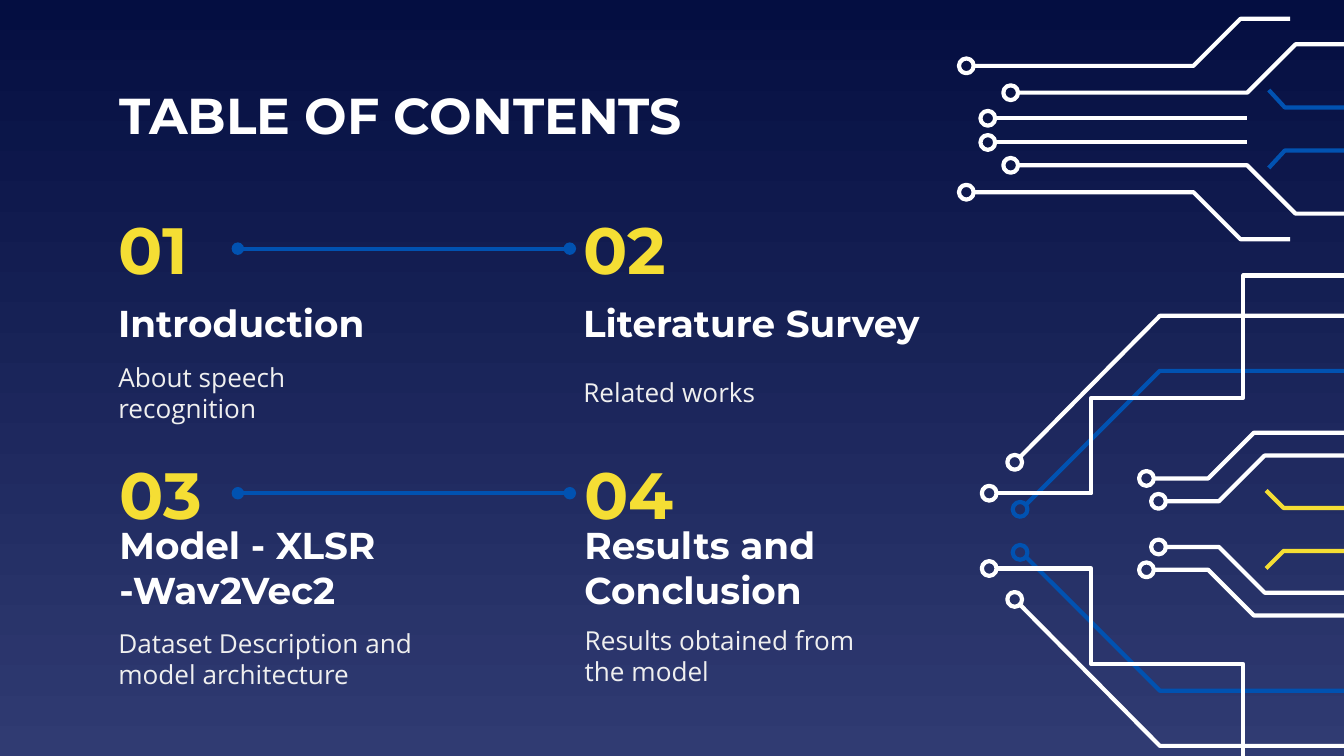
"""Build a table of contents slide with mirrored circuit traces."""
import dataclasses

import lxml.etree
import pptx
import pptx.dml.color
import pptx.enum.shapes
import pptx.enum.text
import pptx.oxml.ns
import pptx.util

Inches = pptx.util.Inches
Point = tuple[float, float]


@dataclasses.dataclass(frozen=True)
class TextStyle:
    size: float
    font: str
    color: str
    bold: bool


@dataclasses.dataclass(frozen=True)
class Theme:
    white: str = "FFFFFF"
    blue: str = "0152B1"
    yellow: str = "F5DE34"
    night: str = "040E41"
    dusk: str = "303B72"
    line_width: float = 2.25
    node_size: float = 0.11
    title: TextStyle = TextStyle(27, "Montserrat", "FFFFFF", True)
    number: TextStyle = TextStyle(35, "Montserrat", "F5DE34", True)
    heading: TextStyle = TextStyle(20, "Montserrat", "FFFFFF", True)
    description: TextStyle = TextStyle(14, "Open Sans", "EFEFEF", False)


@dataclasses.dataclass(frozen=True)
class Section:
    number: str
    heading: str
    description: str
    left: float
    top: float
    heading_width: float
    description_at: Point


@dataclasses.dataclass(frozen=True)
class Trace:
    color: str
    points: tuple[Point, ...]
    node: Point | None = None


@dataclasses.dataclass(frozen=True)
class Circuit:
    axis: float
    traces: tuple[Trace, ...]


THEME = Theme()
SECTIONS = (
    Section("01", "Introduction", "About speech recognition", 0.78, 1.56, 2.41, (0.78, 2.63)),
    Section("02", "Literature Survey", "Related works", 4.24, 1.56, 2.78, (4.24, 2.63)),
    Section("03", "Model - XLSR -Wav2Vec2", "Dataset Description and model architecture",
            0.79, 3.38, 2.5, (0.78, 4.61)),
    Section("04", "Results and Conclusion", "Results obtained from the model",
            4.25, 3.38, 3.06, (4.25, 4.59)),
)
CIRCUITS = (
    Circuit(3.9, (
        Trace(THEME.white, ((8.66, 3.73), (9.07, 3.73), (9.41, 3.39), (10.2, 3.39)), (8.62, 3.73)),
        Trace(THEME.white, ((8.58, 3.56), (8.99, 3.56), (9.33, 3.22), (10.2, 3.22)), (8.53, 3.56)),
    )),
    Circuit(3.94, (Trace(THEME.yellow, ((9.42, 3.65), (9.55, 3.78), (10.11, 3.78))),)),
    Circuit(3.95, (
        Trace(THEME.blue, ((7.63, 3.76), (8.63, 2.76), (10.2, 2.76)), (7.59, 3.79)),
        Trace(THEME.white, ((7.42, 3.67), (8.12, 3.67), (8.12, 2.96), (9.25, 2.96),
                            (9.25, 2.05), (10.2, 2.05)), (7.36, 3.67)),
        Trace(THEME.white, ((7.59, 3.4), (8.63, 2.35), (10.2, 2.35)), (7.55, 3.44)),
    )),
    Circuit(0.96, (
        Trace(THEME.white, ((7.24, 0.49), (8.88, 0.49), (9.23, 0.14), (9.6, 0.14)), (7.19, 0.49)),
        Trace(THEME.white, ((7.58, 0.69), (9.28, 0.69), (9.64, 0.33), (10.25, 0.33)), (7.52, 0.69)),
        Trace(THEME.blue, ((9.44, 0.67), (9.56, 0.8), (10.13, 0.8))),
    )),
    Circuit(0.97, (Trace(THEME.white, ((7.41, 0.88), (9.28, 0.88)), (7.35, 0.88)),)),
)


def rgb(value: str) -> pptx.dml.color.RGBColor:
    return pptx.dml.color.RGBColor.from_string(value)


def apply(target, values: dict) -> None:
    for name, value in values.items():
        setattr(target, name, value)


def write_text(shape, text: str, style: TextStyle, box: tuple[float, float, float, float]) -> None:
    apply(shape, dict(zip(("left", "top", "width", "height"), map(Inches, box))))
    frame = shape.text_frame
    margins = dict.fromkeys(("margin_left", "margin_top", "margin_right", "margin_bottom"), Inches(0.1))
    apply(frame, {"text": text, "word_wrap": True, "auto_size": pptx.enum.text.MSO_AUTO_SIZE.NONE,
                  "vertical_anchor": pptx.enum.text.MSO_ANCHOR.MIDDLE, **margins})
    paragraph = frame.paragraphs[0]
    apply(paragraph, {"alignment": pptx.enum.text.PP_ALIGN.LEFT, "line_spacing": 1.0,
                      "space_before": pptx.util.Pt(0)})
    properties = paragraph._p.get_or_add_pPr()
    properties.set("marL", "0")
    properties.set("indent", "0")
    lxml.etree.SubElement(properties, pptx.oxml.ns.qn("a:buNone"))
    font = paragraph.runs[0].font
    apply(font, {"size": pptx.util.Pt(style.size), "name": style.font, "bold": style.bold})
    font.color.rgb = rgb(style.color)


def format_line(line, color: str) -> None:
    line.color.rgb = rgb(color)
    line.width = pptx.util.Pt(THEME.line_width)


def format_outline(shape, color: str) -> None:
    shape.shadow.inherit = False
    shape.fill.background()
    format_line(shape.line, color)


def draw_trace(slide, trace: Trace) -> None:
    start, *bends = [(Inches(x), Inches(y)) for x, y in trace.points]
    builder = slide.shapes.build_freeform(*start)
    builder.add_line_segments(bends, close=False)
    format_outline(builder.convert_to_shape(), trace.color)
    if trace.node:
        size = THEME.node_size
        x, y = trace.node
        node = slide.shapes.add_shape(pptx.enum.shapes.MSO_SHAPE.OVAL, Inches(x - size / 2),
                                      Inches(y - size / 2), Inches(size), Inches(size))
        format_outline(node, trace.color)


def mirror(trace: Trace, axis: float) -> Trace:
    points = tuple((x, 2 * axis - y) for x, y in trace.points)
    node = (trace.node[0], 2 * axis - trace.node[1]) if trace.node else None
    return Trace(trace.color, points, node)


def draw_circuit(slide, circuit: Circuit) -> None:
    for trace in circuit.traces:
        draw_trace(slide, trace)
        draw_trace(slide, mirror(trace, circuit.axis))


def draw_section(slide, section: Section, body) -> None:
    left, top = section.left, section.top
    write_text(slide.shapes.add_textbox(0, 0, 0, 0), section.number, THEME.number,
               (left, top, 0.99, 0.58))
    write_text(slide.shapes.add_textbox(0, 0, 0, 0), section.heading, THEME.heading,
               (left, top + 0.58, section.heading_width, 0.52))
    write_text(body, section.description, THEME.description,
               (*section.description_at, 2.41, 0.58))


def draw_link(slide, y: float) -> None:
    link = slide.shapes.add_connector(pptx.enum.shapes.MSO_CONNECTOR.STRAIGHT,
                                      Inches(1.77), Inches(y), Inches(4.24), Inches(y))
    format_line(link.line, THEME.blue)
    properties = link._element.spPr
    outline = properties.find(pptx.oxml.ns.qn("a:ln"))
    for end in ("a:headEnd", "a:tailEnd"):
        lxml.etree.SubElement(outline, pptx.oxml.ns.qn(end), type="oval")
    lxml.etree.SubElement(properties, pptx.oxml.ns.qn("a:effectLst"))


def paint_background(slide) -> None:
    fill = slide.background.fill
    fill.gradient()
    fill.gradient_angle = 270
    for stop, color, position in zip(fill.gradient_stops, (THEME.night, THEME.dusk), (0, 1)):
        stop.color.rgb = rgb(color)
        stop.position = position


def main() -> None:
    presentation = pptx.Presentation()
    apply(presentation, {"slide_width": Inches(10), "slide_height": Inches(10) * 9 // 16})
    slide = presentation.slides.add_slide(presentation.slide_layouts.get_by_name("Comparison"))
    paint_background(slide)
    write_text(slide.shapes.title, "TABLE OF CONTENTS", THEME.title, (0.79, 0.59, 5.87, 0.52))
    bodies = list(slide.placeholders)[1:]
    for section, body in zip(SECTIONS, bodies):
        draw_section(slide, section, body)
    for circuit in CIRCUITS:
        draw_circuit(slide, circuit)
    for y in (1.85, 3.67):
        draw_link(slide, y)
    presentation.save("out.pptx")


main()
